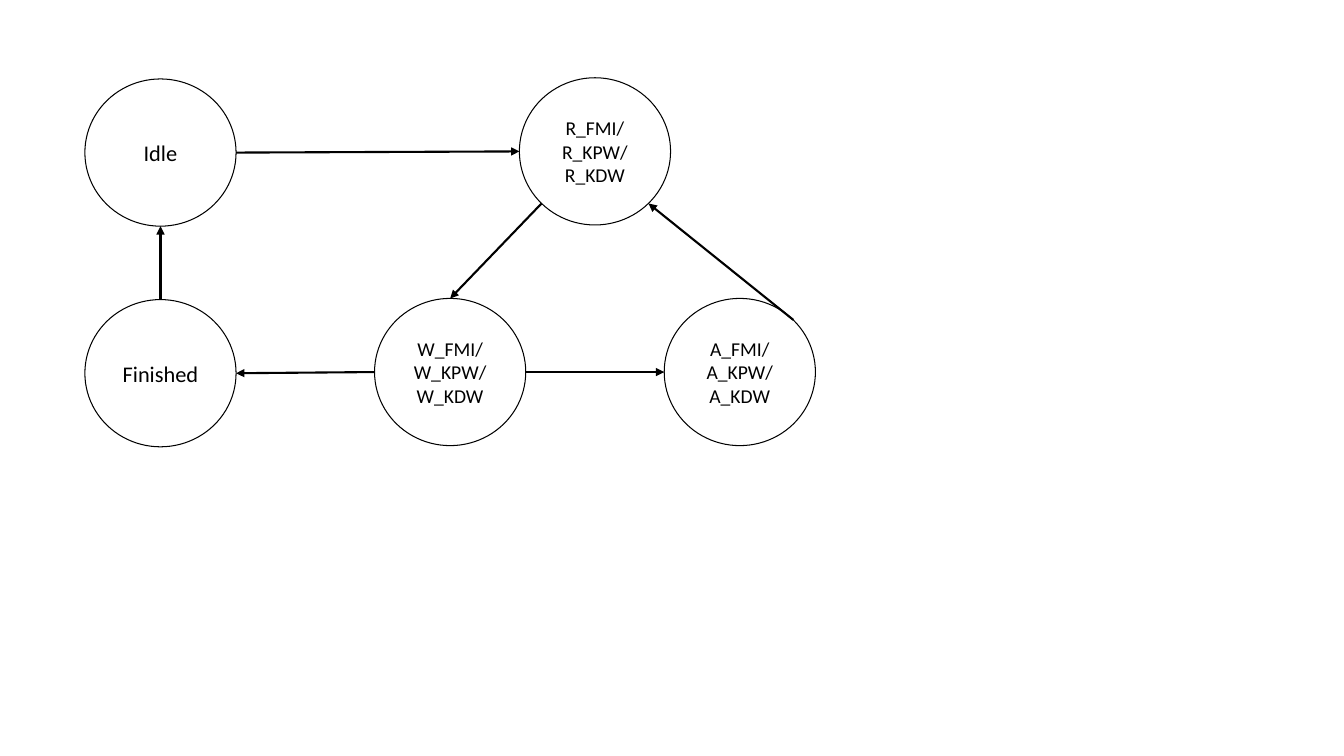
from lxml.etree import SubElement
from pptx import Presentation
from pptx.dml.color import RGBColor
from pptx.enum.shapes import MSO_CONNECTOR, MSO_SHAPE
from pptx.enum.text import MSO_ANCHOR, PP_ALIGN
from pptx.oxml.ns import qn
from pptx.util import Cm, Pt

COLOURS = {"ink": "000000"}
STATE_WIDTH, STATE_HEIGHT = 3.81, 3.71
COLUMN_STEP, ROW_STEP = 3.65, 5.56
LEFT_COLUMN_DROP = 0.03

# State: text, column, row, font size
STATES = {
    "idle": ("Idle", 0, 0, 16),
    "finished": ("Finished", 0, 1, 16),
    "read": ("R_FMI/\vR_KPW/\nR_KDW", 3, 0, 14),
    "write": ("W_FMI/\vW_KPW/\nW_KDW", 2, 1, 14),
    "add": ("A_FMI/\vA_KPW/\nA_KDW", 4, 1, 14),
}

# Ellipse connection sites: index, and place as a share of width and height
SITES = {
    "top": (0, 0.5, 0),
    "left": (2, 0, 0.5),
    "bottom left": (3, 0.146, 0.854),
    "bottom": (4, 0.5, 1),
    "bottom right": (5, 0.854, 0.854),
    "right": (6, 1, 0.5),
    "top right": (7, 0.854, 0.146),
}

TRANSITIONS = [
    ("finished", "top", "idle", "bottom"),
    ("idle", "right", "read", "left"),
    ("read", "bottom left", "write", "top"),
    ("write", "left", "finished", "right"),
    ("add", "top right", "read", "bottom right"),
    ("write", "right", "add", "left"),
]


def ink():
    return RGBColor.from_string(COLOURS["ink"])


def apply(target, formats):
    for attribute, value in formats.items():
        setattr(target, attribute, value)


def add_state(slide, left, top, label, size):
    state = slide.shapes.add_shape(
        MSO_SHAPE.OVAL, Cm(left), Cm(top), Cm(STATE_WIDTH), Cm(STATE_HEIGHT))
    state.shadow.inherit = False
    state.fill.background()
    state.line.color.rgb = ink()
    state.line.width = Pt(0.75)
    frame = state.text_frame
    apply(frame, {"text": label, "word_wrap": True,
                  "vertical_anchor": MSO_ANCHOR.MIDDLE})
    for paragraph in frame.paragraphs:
        paragraph.alignment = PP_ALIGN.CENTER
        for run in paragraph.runs:
            apply(run.font, {"name": "Calibri", "size": Pt(size)})
            run.font.color.rgb = ink()
    return state


def site_point(state, site):
    _, across, down = SITES[site]
    return (round(state.left + across * state.width),
            round(state.top + down * state.height))


def add_transition(slide, source, source_site, target, target_site):
    arrow = slide.shapes.add_connector(
        MSO_CONNECTOR.STRAIGHT,
        *site_point(source, source_site), *site_point(target, target_site))
    arrow.line.color.rgb = ink()
    arrow.line.width = Pt(1.5)

    # Arrowhead, no shadow
    SubElement(arrow.line._get_or_add_ln(), qn("a:tailEnd"), type="triangle")
    SubElement(arrow._element.spPr, qn("a:effectLst"))

    # Glue both ends to their states
    glue = arrow._element.find(".//" + qn("p:cNvCxnSpPr"))
    for tag, state, site in (("a:stCxn", source, source_site),
                             ("a:endCxn", target, target_site)):
        SubElement(glue, qn(tag), id=str(state.shape_id), idx=str(SITES[site][0]))


def add_state_machine(slide, left, top):
    states = {}
    for key, (label, column, row, size) in STATES.items():
        drop = LEFT_COLUMN_DROP if column == 0 else 0
        states[key] = add_state(slide, left + column * COLUMN_STEP,
                                top + row * ROW_STEP + drop, label, size)
    for source, source_site, target, target_site in TRANSITIONS:
        add_transition(slide, states[source], source_site,
                       states[target], target_site)


def main():
    presentation = Presentation()
    presentation.slide_width, presentation.slide_height = Cm(33.87), Cm(19.05)
    slide = presentation.slides.add_slide(presentation.slide_layouts[6])
    add_state_machine(slide, left=2.14, top=1.96)
    presentation.save("out.pptx")


if __name__ == "__main__":
    main()
